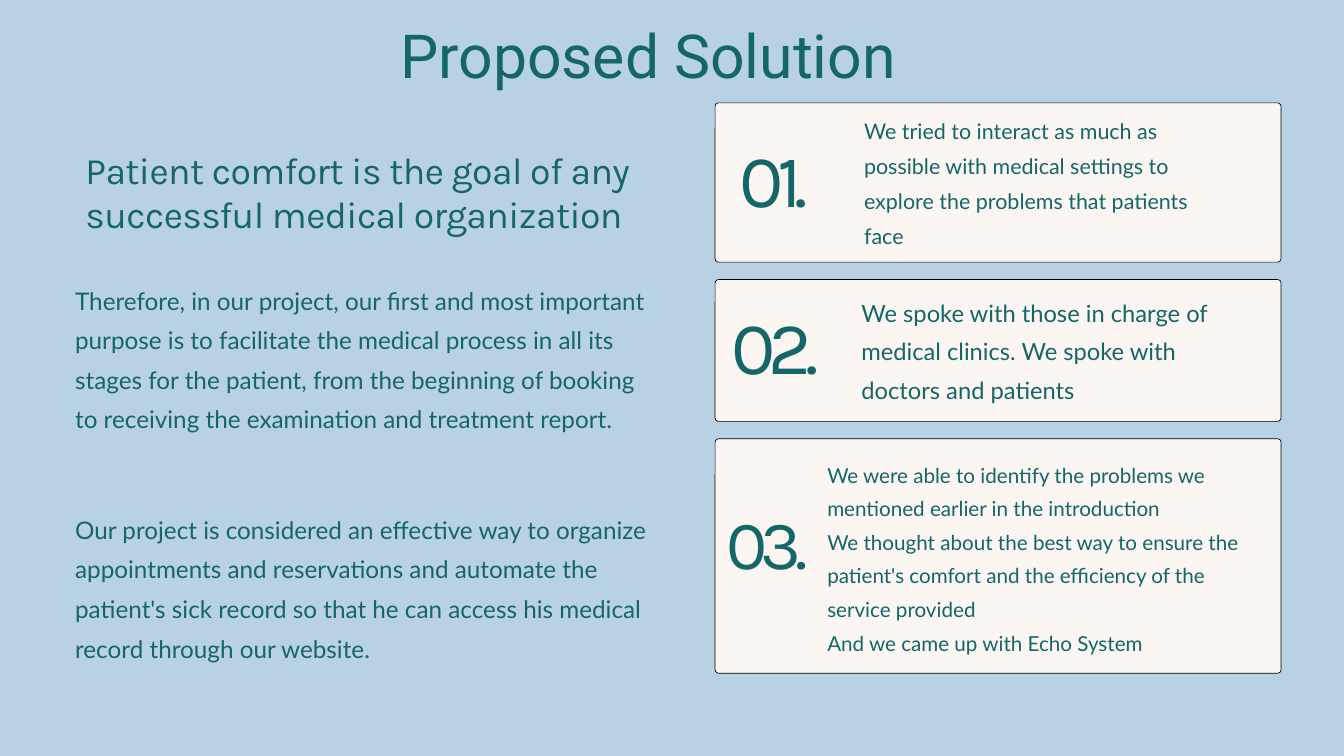
from pptx import Presentation
from pptx import util as u
from pptx.dml.color import RGBColor
from pptx.enum import shapes, text

SKY = RGBColor(0xB8, 0xD2, 0xE4)
CREAM = RGBColor(0xFB, 0xF6, 0xF1)
TEAL = RGBColor(0x15, 0x66, 0x69)
BLACK = RGBColor(0, 0, 0)

CARD_LEFT, CARD_TOP, CARD_WIDTH, CARD_GAP = 27.03, 3.89, 21.39, 0.66
CORNER_RADIUS = 0.13

INTRODUCTION = [
    (10.41, "Therefore, in our project, our first and most important purpose is to facilitate "
            "the medical process in all its stages for the patient, from the beginning of booking "
            "to receiving the examination and treatment report."),
    (19.08, "Our project is considered an effective way to organize appointments and reservations "
            "and automate the patient's sick record so that he can access his medical record "
            "through our website."),
]

STEPS = [
    {"height": 6.02, "number": "01.", "number_box": (27.97, 5.69, 3.02, 2.9),
     "number_size": 80, "tracking": -7.7,
     "text_box": (32.66, 4.11, 13.56, 5.28), "size": 23, "leading": 37.5,
     "lines": ["We tried to interact as much as possible with medical settings to explore "
               "the problems that patients face"]},
    {"height": 5.36, "number": "02.", "number_box": (27.66, 12.01, 3.61, 2.9),
     "number_size": 80, "tracking": -7.7,
     "text_box": (32.56, 10.9, 13.77, 4.45), "size": 25.4, "leading": 41.4,
     "lines": ["We spoke with those in charge of medical clinics. We spoke with doctors "
               "and patients"]},
    {"height": 8.86, "number": "03.", "number_box": (27.46, 19.53, 3.73, 2.72),
     "number_size": 74.2, "tracking": -7.1,
     "text_box": (31.27, 17.15, 16.71, 7.54), "size": 22.1, "leading": 36,
     "lines": ["We were able to identify the problems we mentioned earlier in the introduction",
               "We thought about the best way to ensure the patient's comfort and the efficiency "
               "of the service provided",
               "And we came up with Echo System"]},
]


class SlideBuilder:
    """Hold the slide and its style, and add each kind of element."""

    def __init__(self, presentation):
        self.slide = presentation.slides.add_slide(presentation.slide_layouts[6])
        fill = self.slide.background.fill
        fill.solid()
        fill.fore_color.rgb = SKY
        self.frame_format = {
            "word_wrap": True, "margin_left": 0, "margin_top": 0,
            "margin_right": 0, "margin_bottom": 0,
        }

    def add_text(self, box, lines, font, size, leading, tracking=0,
                 alignment=text.PP_ALIGN.LEFT):
        shape = self.slide.shapes.add_textbox(*map(u.Cm, box))
        frame = shape.text_frame
        for name, value in self.frame_format.items():
            setattr(frame, name, value)
        frame.text = "\n".join(lines)
        for paragraph in frame.paragraphs:
            paragraph.alignment = alignment
            paragraph.line_spacing = u.Pt(leading)
            for run in paragraph.runs:
                for name, value in {"name": font, "size": u.Pt(size)}.items():
                    setattr(run.font, name, value)
                run.font.color.rgb = TEAL
                if tracking:
                    run.font._element.set("spc", str(round(tracking * 100)))

    def add_card(self, top, height):
        shape = self.slide.shapes.add_shape(
            shapes.MSO_SHAPE.ROUNDED_RECTANGLE,
            *map(u.Cm, (CARD_LEFT, top, CARD_WIDTH, height)))
        shape.adjustments[0] = CORNER_RADIUS / height
        shape.shadow.inherit = False
        shape.fill.solid()
        shape.fill.fore_color.rgb = CREAM
        shape.line.color.rgb = BLACK
        shape.line.width = u.Pt(0.75)

    def add_step(self, top, step):
        self.add_card(top, step["height"])
        size = step["number_size"]
        self.add_text(step["number_box"], [step["number"]], "Karla", size,
                      size * 0.96, step["tracking"])
        self.add_text(step["text_box"], step["lines"], "Lato", step["size"], step["leading"])


def main():
    presentation = Presentation()
    presentation.slide_width = u.Cm(50.8)
    presentation.slide_height = u.Cm(28.58)
    builder = SlideBuilder(presentation)

    builder.add_text((7.04, 0.23, 34.93, 3.12), ["Proposed Solution"], "Roboto", 65, 91,
                     alignment=text.PP_ALIGN.CENTER)
    builder.add_text((3.23, 5.55, 22.81, 3.39),
                     ["Patient comfort is the goal of any successful medical organization"],
                     "Karla", 40, 48, -0.6)
    for top, words in INTRODUCTION:
        builder.add_text((2.84, top, 21.64, 7.52), [words], "Lato", 26, 42.4)

    top = CARD_TOP
    for step in STEPS:
        builder.add_step(top, step)
        top += step["height"] + CARD_GAP

    presentation.save("out.pptx")


if __name__ == "__main__":
    main()
